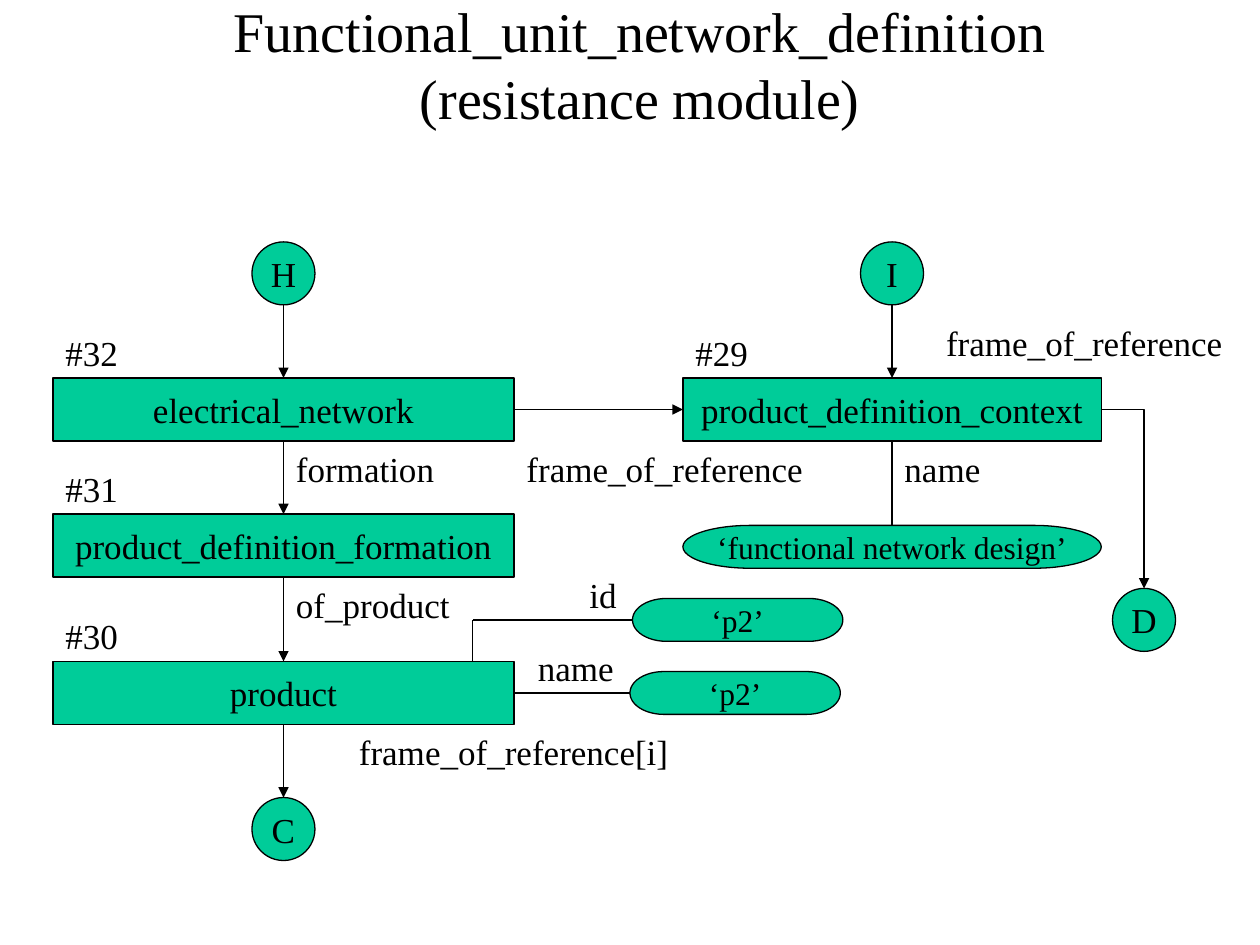
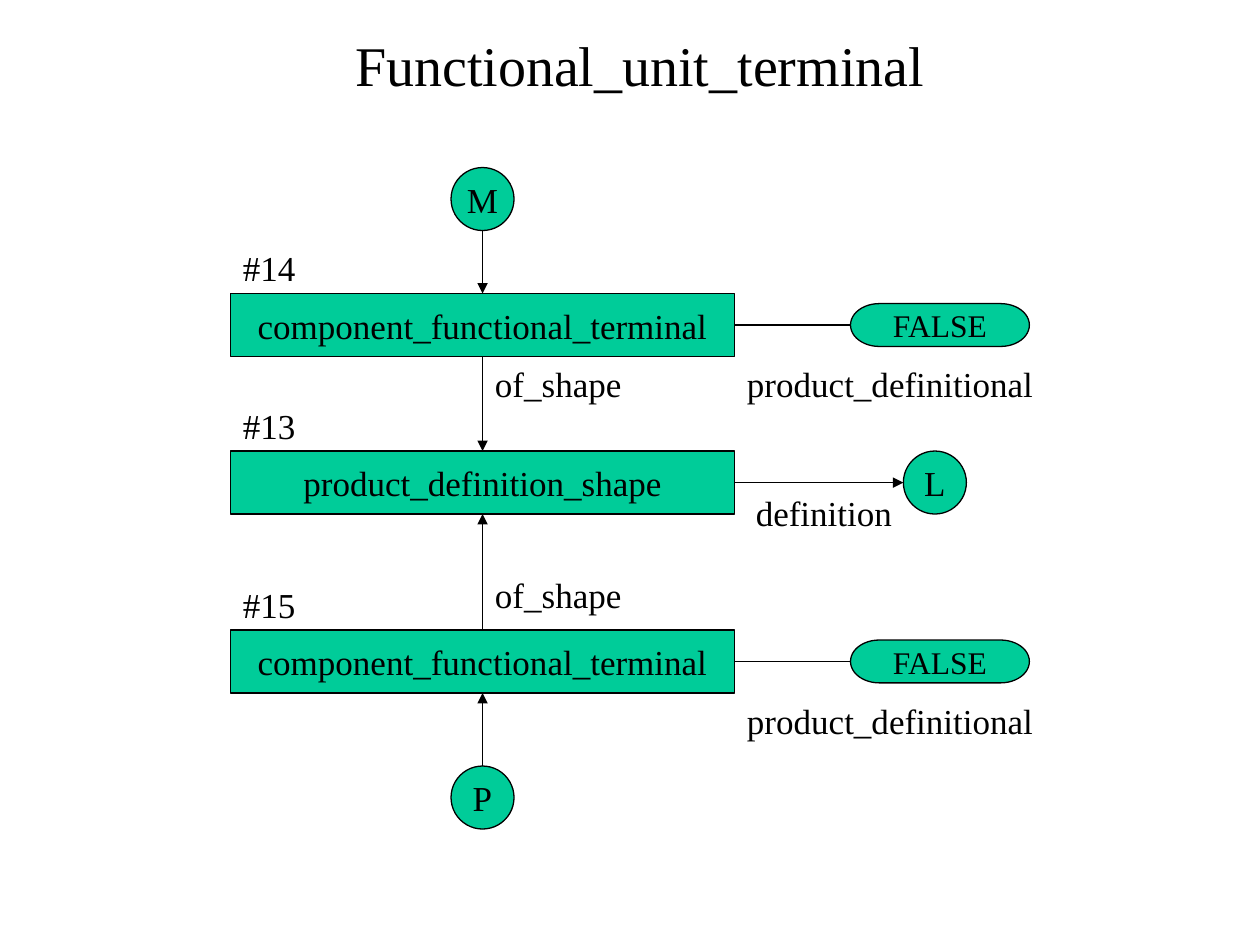
"""Draws two entity diagrams of functional units and their terminals."""
from dataclasses import dataclass

from lxml import etree
from pptx import Presentation
from pptx import util as u
from pptx.dml.color import RGBColor
from pptx.enum import shapes, text
from pptx.oxml.ns import qn


@dataclass(frozen=True)
class Theme:
    font: str = "Times New Roman"
    ink: RGBColor = RGBColor(0x00, 0x00, 0x00)
    fill: RGBColor = RGBColor(0x00, 0xCC, 0x99)
    line: float = 0.75
    title: int = 32
    body: int = 20
    value: int = 18


def write(sp, words, *, theme, size, align=text.PP_ALIGN.LEFT,
          anchor=text.MSO_ANCHOR.TOP, wrap=False):
    tf = sp.text_frame
    tf.word_wrap = wrap
    tf.vertical_anchor = anchor
    p = tf.paragraphs[0]
    p.text = words
    p.alignment = align
    for r in p.runs:
        r.font.name = theme.font
        r.font.size = u.Pt(size)
        r.font.color.rgb = theme.ink


def side(sp, name):
    mid_x, mid_y = sp.left + sp.width // 2, sp.top + sp.height // 2
    return {
        "left": (sp.left, mid_y),
        "right": (sp.left + sp.width, mid_y),
        "top": (mid_x, sp.top),
        "bottom": (mid_x, sp.top + sp.height),
    }[name]


class Diagram:
    def __init__(self, prs, theme, title):
        self.theme = theme
        self.s = prs.slides.add_slide(prs.slide_layouts[6])
        sp = self.textbox(0.83, 0.17, 8.5, 0.67)
        write(sp, title, theme=theme, size=theme.title, wrap=True,
              align=text.PP_ALIGN.CENTER, anchor=text.MSO_ANCHOR.MIDDLE)

    def textbox(self, *box):
        return self.s.shapes.add_textbox(*map(u.Inches, box))

    def node(self, kind, words, size, *box):
        sp = self.s.shapes.add_shape(kind, *map(u.Inches, box))
        sp.shadow.inherit = False
        sp.fill.solid()
        sp.fill.fore_color.rgb = self.theme.fill
        sp.line.color.rgb = self.theme.ink
        sp.line.width = u.Pt(self.theme.line)
        write(sp, words, theme=self.theme, size=size,
              align=text.PP_ALIGN.CENTER, anchor=text.MSO_ANCHOR.MIDDLE)
        return sp

    def circle(self, letter, left, top):
        return self.node(shapes.MSO_SHAPE.FLOWCHART_CONNECTOR, letter,
                         self.theme.body, left, top, 0.5, 0.5)

    def entity(self, number, name, left, top, width):
        self.label(number, left, top - 0.42, 0.65)
        return self.node(shapes.MSO_SHAPE.RECTANGLE, name, self.theme.body,
                         left, top, width, 0.5)

    def value(self, words, left, top, width):
        return self.node(shapes.MSO_SHAPE.FLOWCHART_TERMINATOR, words,
                         self.theme.value, left, top, width, 0.34)

    def label(self, words, left, top, width):
        sp = self.textbox(left, top, width, 0.44)
        write(sp, words, theme=self.theme, size=self.theme.body)

    def link(self, start, end, arrow=True, corner=False):
        kind = shapes.MSO_CONNECTOR.ELBOW if corner else shapes.MSO_CONNECTOR.STRAIGHT
        cx = self.s.shapes.add_connector(kind, *start, *end)
        cx.line.color.rgb = self.theme.ink
        cx.line.width = u.Pt(self.theme.line)
        props = cx._element.spPr
        if corner:
            props.find(qn("a:prstGeom")).set("prst", "bentConnector2")
        if arrow:
            etree.SubElement(props.find(qn("a:ln")), qn("a:tailEnd"), type="triangle")
        etree.SubElement(props, qn("a:effectLst"))

    def down(self, *chain):
        for upper, lower in zip(chain, chain[1:]):
            self.link(side(upper, "bottom"), side(lower, "top"))

    def across(self, left, right, arrow=True):
        self.link(side(left, "right"), side(right, "left"), arrow)


def network_slide(prs, theme):
    d = Diagram(prs, theme, "Functional_unit_network_definition\v(resistance module)")
    h, c = d.circle("H", 2, 1.92), d.circle("C", 2, 6.33)
    i, ref = d.circle("I", 6.83, 1.92), d.circle("D", 8.83, 4.67)
    network, formation, product = [
        d.entity(number, name, 0.42, top, 3.66) for number, name, top in (
            ("#32", "electrical_network", 3),
            ("#31", "product_definition_formation", 4.08),
            ("#30", "product", 5.25))]
    context = d.entity("#29", "product_definition_context", 5.42, 3, 3.32)
    design = d.value("‘functional network design’", 5.42, 4.17, 3.32)
    product_id = d.value("‘p2’", 5.02, 4.75, 1.67)
    product_name = d.value("‘p2’", 5, 5.33, 1.67)

    d.down(h, network, formation, product, c)
    d.down(i, context)
    d.across(network, context)
    d.across(product, product_name, arrow=False)
    d.link(side(context, "bottom"), side(design, "top"), arrow=False)
    d.link(side(context, "right"), side(ref, "top"), corner=True)
    id_start = side(product_id, "left")
    bend = (u.Inches(3.75), id_start[1])
    d.link(id_start, bend, arrow=False)
    d.link(bend, (bend[0], product.top), arrow=False)

    for words, left, top, width in (
            ("formation", 2.25, 3.5, 1.35),
            ("of_product", 2.25, 4.58, 1.45),
            ("frame_of_reference[i]", 2.75, 5.75, 2.7),
            ("name", 7.08, 3.5, 0.85),
            ("frame_of_reference", 4.08, 3.5, 2.45),
            ("frame_of_reference", 7.41, 2.5, 2.45),
            ("name", 4.17, 5.08, 0.85),
            ("id", 4.58, 4.5, 0.45)):
        d.label(words, left, top, width)


def terminal_slide(prs, theme):
    d = Diagram(prs, theme, "Functional_unit_terminal")
    m, p = d.circle("M", 3.58, 1.33), d.circle("P", 3.58, 6.08)
    definition = d.circle("L", 7.17, 3.58)
    first, shape, second = [
        d.entity(number, name, 1.83, top, 4) for number, name, top in (
            ("#14", "component_functional_terminal", 2.33),
            ("#13", "product_definition_shape", 3.58),
            ("#15", "component_functional_terminal", 5))]

    d.down(m, first, shape)
    for lower, upper in ((p, second), (second, shape)):
        d.link(side(lower, "top"), side(upper, "bottom"))
    d.across(shape, definition)
    for terminal, top in ((first, 2.33), (second, 5)):
        d.across(terminal, d.value("FALSE", 6.75, top + 0.08, 1.42), arrow=False)
        d.label("product_definitional", 5.83, top + 0.5, 2.5)
    d.label("definition", 5.9, 3.85, 1.3)
    for top in (2.83, 4.5):
        d.label("of_shape", 3.83, top, 1.25)


def main():
    prs = Presentation()
    prs.slide_width, prs.slide_height = u.Inches(10), u.Inches(7.5)
    theme = Theme()
    network_slide(prs, theme)
    terminal_slide(prs, theme)
    prs.save("out.pptx")


if __name__ == "__main__":
    main()
